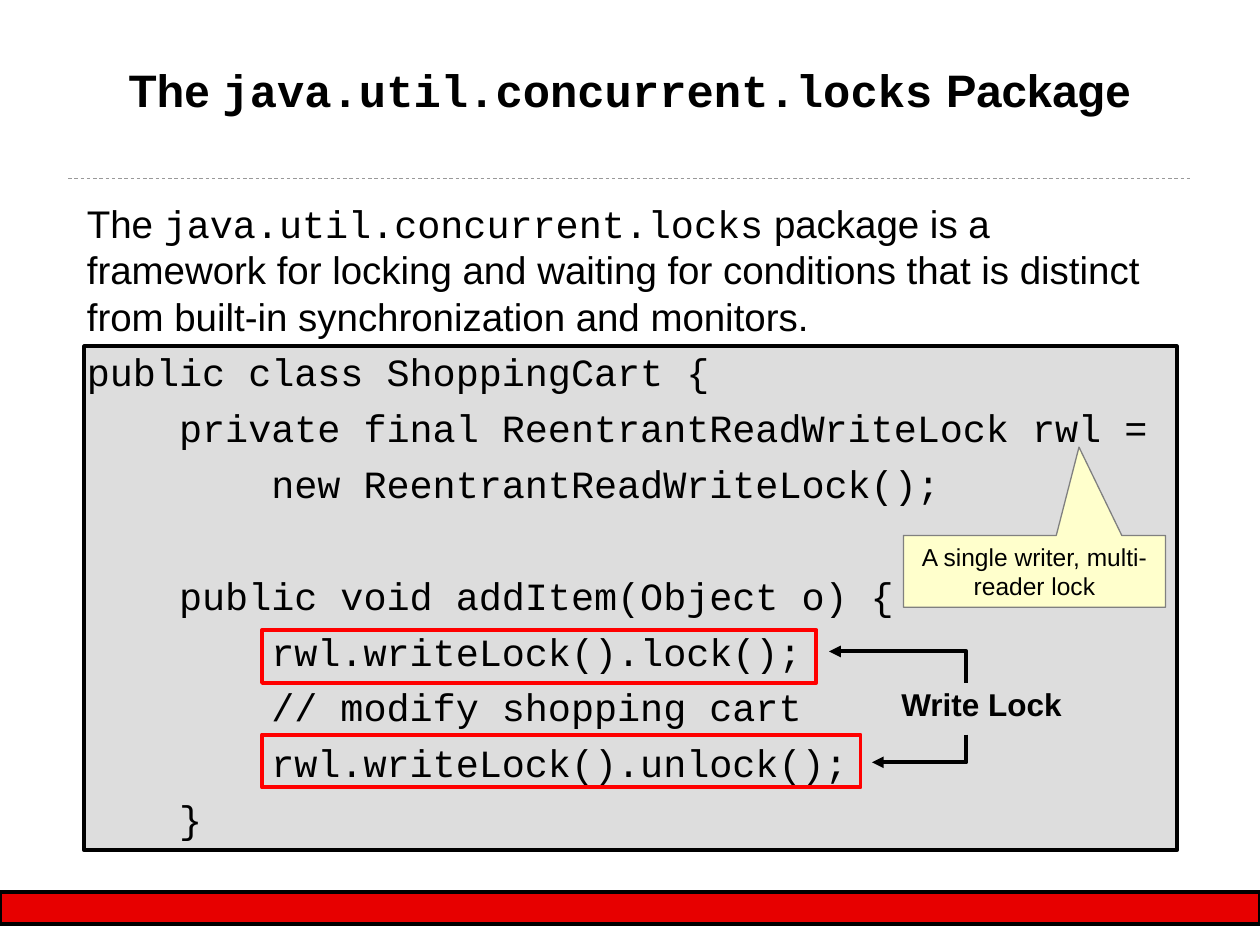
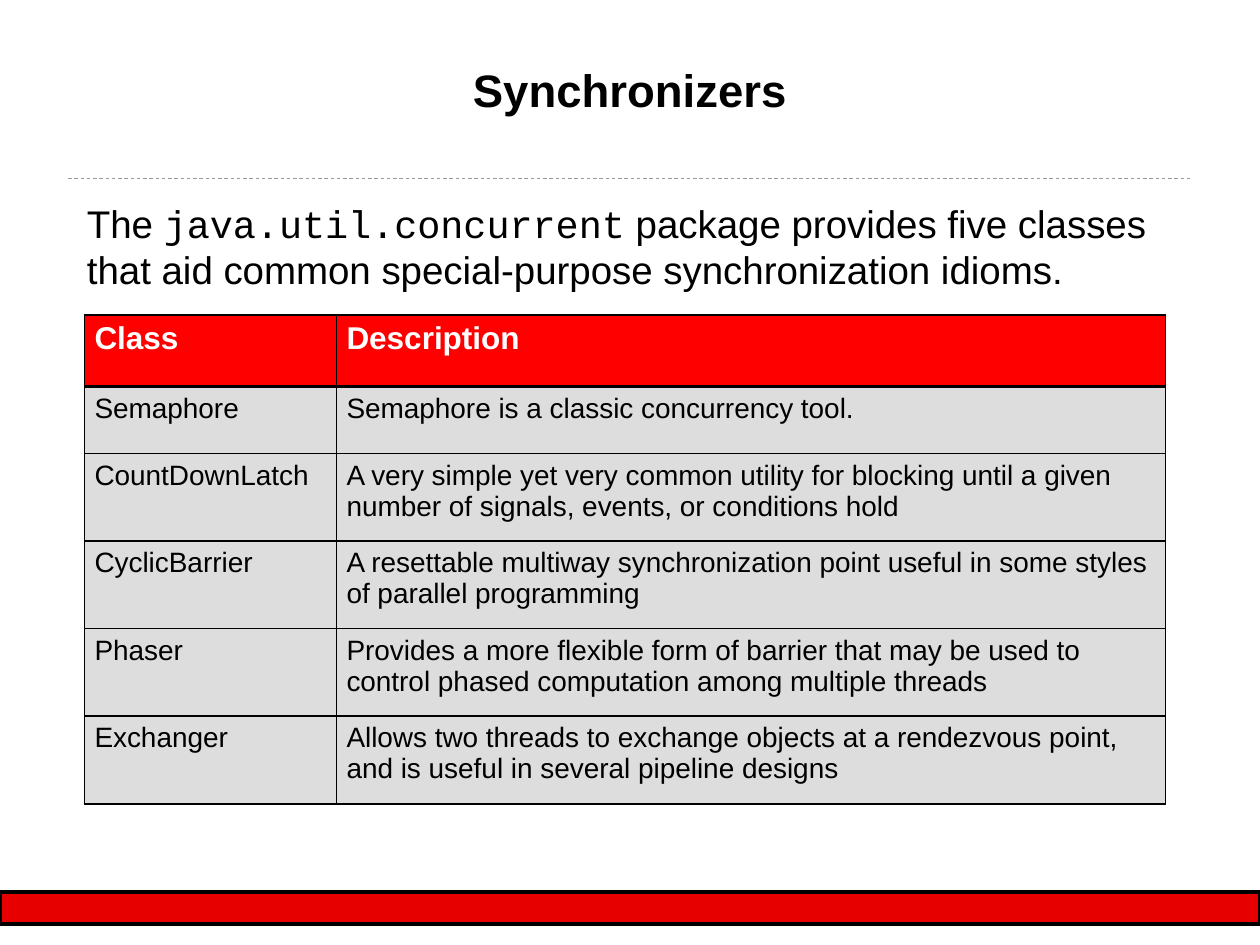
from dataclasses import dataclass

from lxml.etree import SubElement
from pptx import Presentation
from pptx.dml.color import RGBColor
from pptx.enum.dml import MSO_LINE
from pptx.enum.shapes import MSO_CONNECTOR, MSO_SHAPE
from pptx.enum.text import MSO_ANCHOR, PP_ALIGN
from pptx.oxml.ns import qn
from pptx.util import Inches, Pt


@dataclass(frozen=True)
class Theme:
    sans: str = "Arial"
    mono: str = "Courier New"
    ink: str = "000000"
    paper: str = "FFFFFF"
    band: str = "E70000"
    accent: str = "FF0000"
    panel: str = "DDDDDD"
    note: str = "FFFFCC"
    note_edge: str = "808080"
    rule: str = "999999"
    title: float = 26
    body: float = 22
    label: float = 18
    cell: float = 16
    small: float = 14
    heavy: float = 2.25
    thin: float = 1.08
    gap: float = 5.5


T = Theme()
WIDTH, HEIGHT = 10, 7.5
LEFT, COLUMN = 0.67, 8.66
BODY_TOP = 1.58

# Content: runs are (text, font)
LOCKS_TITLE = [("The ", T.sans), ("java.util.concurrent.locks", T.mono), (" Package", T.sans)]
LOCKS_INTRO = [
    ("The ", T.sans),
    ("java.util.concurrent.locks", T.mono),
    (" package is a framework for locking and waiting for conditions that is distinct "
     "from built-in synchronization and monitors.", T.sans),
]
# Two blocks of code, one line's height apart
CODE_BLOCKS = [
    ["public class ShoppingCart {",
     "    private final ReentrantReadWriteLock rwl =",
     "        new ReentrantReadWriteLock();"],
    ["    public void addItem(Object o) {",
     "        rwl.writeLock().lock();",
     "        // modify shopping cart",
     "        rwl.writeLock().unlock();",
     "    }"],
]
BLOCK_GAP = T.gap + 32
LOCK_NOTE = "A single writer, multi-reader lock"
LOCK_LABEL = "Write Lock"
# Highlighted calls: (top, width)
LOCK_CALLS = [(5, 4.4), (5.83, 4.75)]
# Arrows turn at one shared x: (start y, tip y, tip x)
ARROW_X = 7.67
LOCK_ARROWS = [(5.42, 5.17, 6.58), (5.83, 6.05, 6.92)]

SYNC_TITLE = [("Synchronizers", T.sans)]
SYNC_INTRO = [
    ("The ", T.sans),
    ("java.util.concurrent", T.mono),
    (" package provides five classes that aid common special-purpose "
     "synchronization idioms.", T.sans),
]
SYNC_ROWS = [
    ("Class", "Description"),
    ("Semaphore", "Semaphore is a classic concurrency tool."),
    ("CountDownLatch", "A very simple yet very common utility for blocking until a given "
                       "number of signals, events, or conditions hold"),
    ("CyclicBarrier", "A resettable multiway synchronization point useful in some styles "
                      "of parallel programming"),
    ("Phaser", "Provides a more flexible form of barrier that may be used to control "
               "phased computation among multiple threads"),
    ("Exchanger", "Allows two threads to exchange objects at a rendezvous point, and is "
                  "useful in several pipeline designs"),
]
SYNC_COLUMNS = [2, 6.58]
SYNC_HEIGHT = 3.88
SHORT_ROWS = [0.57, 0.53]
TALL_ROWS = len(SYNC_ROWS) - len(SHORT_ROWS)
SYNC_HEIGHTS = SHORT_ROWS + [(SYNC_HEIGHT - sum(SHORT_ROWS)) / TALL_ROWS] * TALL_ROWS


def rgb(value):
    return RGBColor.from_string(value)


def inches(*lengths):
    return [Inches(length) for length in lengths]


def write(paragraph, runs, size, color=T.ink, bold=False, align=PP_ALIGN.LEFT, before=0):
    paragraph.alignment = align
    paragraph.space_before = Pt(before)
    for text, face in runs:
        run = paragraph.add_run()
        run.text = text
        run.font.name, run.font.size, run.font.bold = face, Pt(size), bold
        run.font.color.rgb = rgb(color)


def set_frame(frame, inset, anchor=MSO_ANCHOR.TOP):
    frame.word_wrap = True
    frame.vertical_anchor = anchor
    frame.margin_left = frame.margin_right = Inches(inset)
    frame.margin_top = frame.margin_bottom = Inches(min(inset, 0.05))
    return frame


def add_text(slide, box, inset=0.01, anchor=MSO_ANCHOR.TOP):
    return set_frame(slide.shapes.add_textbox(*inches(*box)).text_frame, inset, anchor)


def paint(shape, fill, line, weight):
    shape.shadow.inherit = False
    if fill:
        shape.fill.solid()
        shape.fill.fore_color.rgb = rgb(fill)
    else:
        shape.fill.background()
    shape.line.color.rgb = rgb(line)
    shape.line.width = Pt(weight)
    return shape


def add_box(slide, kind, box, fill, line=T.ink, weight=T.heavy):
    return paint(slide.shapes.add_shape(kind, *inches(*box)), fill, line, weight)


def add_arrow(slide, start_y, tip_y, tip_x):
    path_builder = slide.shapes.build_freeform(*inches(ARROW_X, start_y), scale=1.0)
    corners = [(ARROW_X, tip_y), (tip_x, tip_y)]
    path_builder.add_line_segments([inches(*corner) for corner in corners], close=False)
    arrow = paint(path_builder.convert_to_shape(), None, T.ink, T.heavy)
    SubElement(arrow.line._get_or_add_ln(), qn("a:tailEnd"), type="triangle")


def add_page(deck, title):
    slide = deck.slides.add_slide(deck.slide_layouts[6])
    # Dashed rule and footer band
    rule = slide.shapes.add_connector(MSO_CONNECTOR.STRAIGHT,
                                      *inches(0.54, 1.42, WIDTH - 0.54, 1.42))
    rule.line.color.rgb = rgb(T.rule)
    rule.line.width = Pt(0.5)
    rule.line.dash_style = MSO_LINE.DASH
    SubElement(rule._element.spPr, qn("a:effectLst"))
    add_box(slide, MSO_SHAPE.FLOWCHART_PROCESS, (0, 7.08, WIDTH, 0.25), T.band)
    # Title
    heading = add_text(slide, (LEFT, 0.48, COLUMN, 0.96))
    write(heading.paragraphs[0], title, T.title, bold=True, align=PP_ALIGN.CENTER)
    return slide


def add_body(slide, height, intro):
    body = add_text(slide, (LEFT, BODY_TOP, COLUMN, height))
    body.margin_left = Inches(0.02)
    write(body.paragraphs[0], intro, T.body)
    return body


def set_borders(cell, weights):
    properties = cell._tc.get_or_add_tcPr()
    for side, weight in weights.items():
        edge = SubElement(properties, qn(f"a:ln{side}"), w=str(Pt(weight)))
        SubElement(SubElement(edge, qn("a:solidFill")), qn("a:srgbClr"), val=T.ink)


def build_locks(deck):
    slide = add_page(deck, LOCKS_TITLE)
    # Code panel, with introduction and code in one flow
    add_box(slide, MSO_SHAPE.RECTANGLE, (LEFT, 2.75, 8.67, 4), T.panel)
    body = add_body(slide, 5.14, LOCKS_INTRO)
    for block_index, block in enumerate(CODE_BLOCKS):
        for line_index, line in enumerate(block):
            opens_later_block = block_index > 0 and line_index == 0
            write(body.add_paragraph(), [(line, T.mono)], T.body,
                  before=BLOCK_GAP if opens_later_block else T.gap)
    # Callout on the lock variable
    note = add_box(slide, MSO_SHAPE.RECTANGULAR_CALLOUT, (7.17, 4.25, 2.08, 0.57),
                   T.note, T.note_edge, 0.75)
    note.adjustments[0], note.adjustments[1] = 0.17, -1.73
    note_frame = set_frame(note.text_frame, 0.1, MSO_ANCHOR.MIDDLE)
    write(note_frame.paragraphs[0], [(LOCK_NOTE, T.sans)], T.small, align=PP_ALIGN.CENTER)
    # Highlighted calls, arrows and their label
    for top, width in LOCK_CALLS:
        add_box(slide, MSO_SHAPE.RECTANGLE, (2.08, top, width, 0.42), None, T.accent)
    for arrow in LOCK_ARROWS:
        add_arrow(slide, *arrow)
    label = add_text(slide, (7, 5.25, 1.58, 0.67), 0.05, MSO_ANCHOR.MIDDLE)
    write(label.paragraphs[0], [(LOCK_LABEL, T.sans)], T.label, bold=True,
          align=PP_ALIGN.CENTER)


def build_synchronizers(deck):
    slide = add_page(deck, SYNC_TITLE)
    add_body(slide, 0.77, SYNC_INTRO)
    # Table of classes
    box = (LEFT, 2.5, sum(SYNC_COLUMNS), SYNC_HEIGHT)
    classes = slide.shapes.add_table(len(SYNC_ROWS), len(SYNC_COLUMNS), *inches(*box)).table
    for column, width in zip(classes.columns, SYNC_COLUMNS):
        column.width = Inches(width)
    for index, (row, height, texts) in enumerate(zip(classes.rows, SYNC_HEIGHTS, SYNC_ROWS)):
        row.height = Inches(height)
        head = index == 0
        weights = {"L": T.thin, "R": T.thin,
                   "T": T.heavy if index == 1 else T.thin,
                   "B": T.heavy if head else T.thin}
        for cell, text in zip(row.cells, texts):
            set_borders(cell, weights)
            cell.fill.solid()
            cell.fill.fore_color.rgb = rgb(T.accent if head else T.panel)
            cell.margin_left = cell.margin_right = Inches(0.08)
            cell.margin_top = cell.margin_bottom = Inches(0.05)
            write(cell.text_frame.paragraphs[0], [(text, T.sans)],
                  T.label if head else T.cell, T.paper if head else T.ink, bold=head)


def main():
    deck = Presentation()
    deck.slide_width, deck.slide_height = inches(WIDTH, HEIGHT)
    build_locks(deck)
    build_synchronizers(deck)
    deck.save("out.pptx")


if __name__ == "__main__":
    main()
